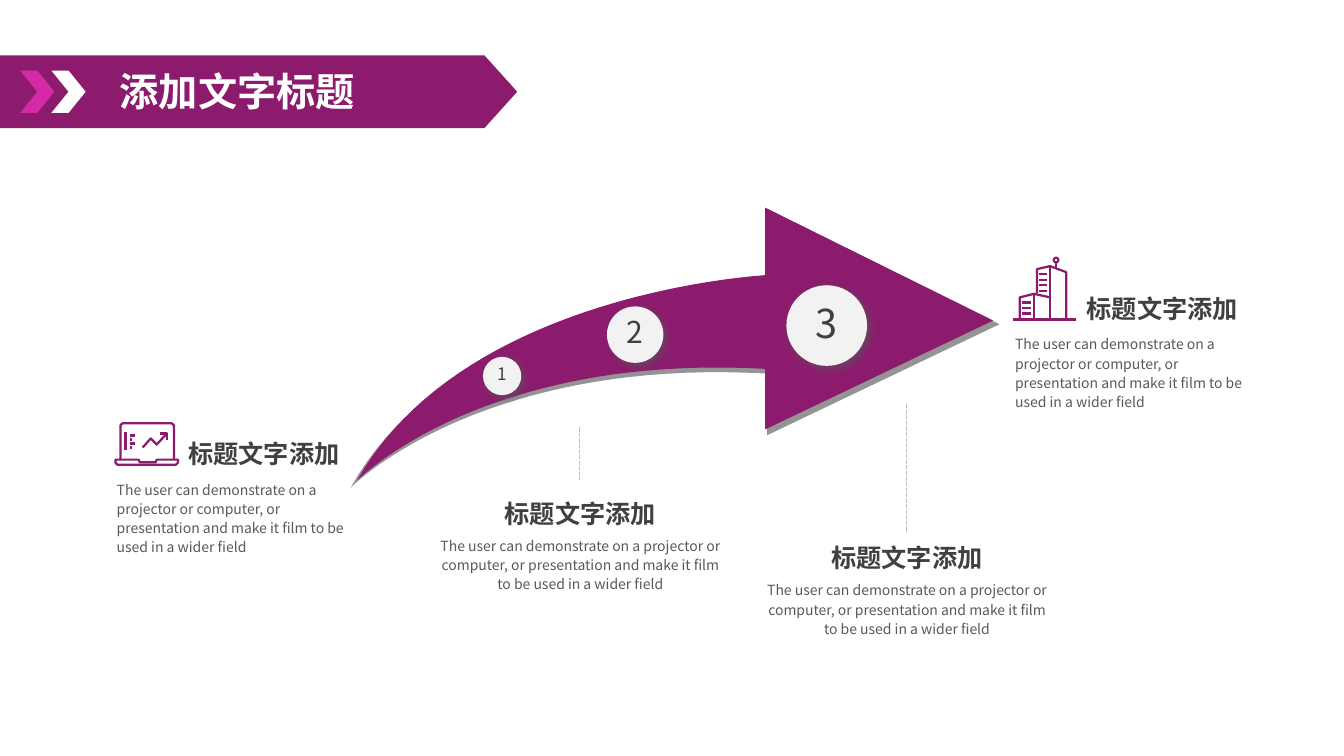
"""Builds a slide with a rising arrow, three numbered steps and four captions."""
from dataclasses import dataclass
from math import cos, pi, sin

from lxml.etree import SubElement
from pptx import Presentation
from pptx.dml.color import RGBColor
from pptx.enum.dml import MSO_LINE
from pptx.enum.shapes import MSO_CONNECTOR, MSO_SHAPE as Preset
from pptx.enum.text import MSO_ANCHOR as Anchor, MSO_AUTO_SIZE as AutoSize, PP_ALIGN as Align
from pptx.oxml.ns import qn
from pptx.util import Inches, Pt


@dataclass(frozen=True)
class Theme:
    font: str = "Noto Sans CJK SC"
    purple: str = "8C1B6E"
    pink: str = "D42AA7"
    white: str = "FFFFFF"
    disc: str = "F2F2F2"
    dark: str = "404040"
    body: str = "595959"
    rule: str = "BFBFBF"
    arrow_shadow: str = "808080"
    title_size: float = 28
    heading_size: float = 18
    body_size: float = 10
    step_sizes: tuple = (12.3, 21.5, 28.4)
    icon_line: float = 1.6
    cell: float = 0.1


HEADING = "标题文字添加"
BODY = ("The user can demonstrate on a projector or computer, "
        "or presentation and make it film to be used in a wider field")

LAPTOP = [
    [(0.6, 5.7), (0.6, 2.3), (0.8, 2.1), (5.7, 2.1), (5.9, 2.3), (5.9, 5.7)],
    [(0.1, 5.7), (2.4, 5.7), (2.5, 5.95), (4.1, 5.95), (4.2, 5.7), (6.3, 5.7),
     (6.3, 6), (6.1, 6.2), (0.3, 6.2), (0.1, 6), (0.1, 5.7)],
    [(1.1, 3), (1.1, 4.7)],
    [(2.8, 4.5), (3.6, 3.6), (4.2, 4.2), (5.2, 3.1)],
    [(4.5, 3.1), (5.2, 3.1), (5.2, 3.8)],
] + [[(1.5, 3.3 + 0.4 * i), (1.75 if i % 2 else 2, 3.3 + 0.4 * i)] for i in range(4)]

BUILDINGS = [
    [(0, 6.2), (6.3, 6.2)],
    [(0.7, 6.2), (0.7, 4), (2.1, 3.65), (3.7, 4)],
    [(2.1, 3.65), (2.1, 6.2)],
    [(2.4, 3.6), (2.4, 1.2), (3.7, 0.9), (5.3, 1.5), (5.3, 6.2)],
    [(3.7, 0.9), (3.7, 6.2)],
    [(4.3, 1.1), (4.3, 0.55)],
    [(4.3 + 0.23 * cos(i * pi / 8), 0.3 + 0.23 * sin(i * pi / 8)) for i in range(17)],
] + [[(0.9, 4.5 + 0.55 * i), (1.8, 4.5 + 0.55 * i)] for i in range(3)] \
  + [[(2.6, 1.7 + 0.55 * i), (3.4, 1.7 + 0.55 * i)] for i in range(4)]


def bezier(start, first, second, end, steps=40):
    def blend(t, axis):
        return ((1 - t) ** 3 * start[axis] + 3 * (1 - t) ** 2 * t * first[axis]
                + 3 * (1 - t) * t ** 2 * second[axis] + t ** 3 * end[axis])
    return [(blend(i / steps, 0), blend(i / steps, 1)) for i in range(steps + 1)]


class SlideBuilder:
    def __init__(self, slide, theme):
        self.slide, self.theme, self.shapes = slide, theme, slide.shapes

    def grid(self, *cells):
        return [Inches(self.theme.cell * cell) for cell in cells]

    def set_text(self, shape, text, size, color, bold=False, align=Align.LEFT,
                 spacing=None, anchor=Anchor.TOP, wrap=True):
        frame = shape.text_frame
        frame.word_wrap, frame.vertical_anchor = wrap, anchor
        paragraph = frame.paragraphs[0]
        paragraph.alignment, paragraph.line_spacing = align, spacing
        run = paragraph.add_run()
        run.text = text
        font = run.font
        font.size, font.bold, font.name = Pt(size), bold, self.theme.font
        font.color.rgb = RGBColor.from_string(color)
        SubElement(run._r.get_or_add_rPr(), qn("a:ea"), typeface=self.theme.font)

    def text_box(self, box, text, size, color, **style):
        shape = self.shapes.add_textbox(*self.grid(*box))
        shape.text_frame.auto_size = AutoSize.SHAPE_TO_FIT_TEXT
        self.set_text(shape, text, size, color, **style)

    def paint(self, shape, color):
        shape.shadow.inherit = False
        shape.fill.solid()
        shape.fill.fore_color.rgb = RGBColor.from_string(color)
        shape.line.fill.background()

    def preset(self, kind, box, color, adjustment):
        shape = self.shapes.add_shape(kind, *self.grid(*box))
        shape.adjustments[0] = adjustment
        self.paint(shape, color)
        return shape

    def cast_shadow(self, shape, color, alpha, blur, angle, scale=100):
        effects = shape.element.spPr.find(qn("a:effectLst"))
        outer = SubElement(effects, qn("a:outerShdw"), blurRad=str(Pt(blur)),
                           dist=str(Pt(3)), dir=str(angle * 60000),
                           sx=str(scale * 1000), sy=str(scale * 1000),
                           algn="ctr", rotWithShape="0")
        tint = SubElement(outer, qn("a:srgbClr"), val=color)
        SubElement(tint, qn("a:alpha"), val=str(alpha * 1000))

    def outline(self, contours, left=0, top=0, close=False):
        moved = [[self.grid(left + x, top + y) for x, y in contour] for contour in contours]
        builder = self.shapes.build_freeform(*moved[0][0], scale=1.0)
        for index, contour in enumerate(moved):
            if index:
                builder.move_to(*contour[0])
            builder.add_line_segments(contour[1:], close=close)
        return builder.convert_to_shape()

    def icon(self, strokes, left, top):
        shape = self.outline(strokes, left, top)
        shape.shadow.inherit = False
        shape.fill.background()
        shape.line.color.rgb = RGBColor.from_string(self.theme.purple)
        shape.line.width = Pt(self.theme.icon_line)

    def dashed_line(self, x, top, bottom):
        connector = self.shapes.add_connector(MSO_CONNECTOR.STRAIGHT,
                                              *self.grid(x, top, x, bottom))
        connector.line.color.rgb = RGBColor.from_string(self.theme.rule)
        connector.line.width = Pt(1)
        connector.line.dash_style = MSO_LINE.SQUARE_DOT
        SubElement(connector.element.spPr, qn("a:effectLst"))

    def arrow(self):
        upper = bezier((75.9, 27.3), (73, 27.5), (45.4, 29.8), (35.4, 47.7))
        lower = bezier((35.4, 47.7), (35.4, 47.7), (47.8, 35), (75.9, 36.6))
        points = [(98.5, 31.8), (75.9, 20.6)] + upper + lower[1:] + [(75.9, 42.6)]
        shape = self.outline([points], close=True)
        self.paint(shape, self.theme.purple)
        self.cast_shadow(shape, self.theme.arrow_shadow, alpha=84, blur=0, angle=90, scale=102)

    def step(self, number, left, top, diameter, spacing):
        disc = self.preset(Preset.ROUNDED_RECTANGLE, (left, top, diameter, diameter),
                           self.theme.disc, 0.5)
        self.cast_shadow(disc, self.theme.body, alpha=64, blur=6, angle=45)
        self.set_text(disc, str(number), self.theme.step_sizes[number - 1], self.theme.dark,
                      align=Align.CENTER, spacing=spacing, anchor=Anchor.MIDDLE, wrap=False)

    def caption(self, left, top, strokes=None):
        theme = self.theme
        self.shapes = self.slide.shapes.add_group_shape().shapes
        if strokes:
            self.icon(strokes, left + 0.75, top - 7.1)
            shift, rise, width, height, align = 7.1, 4, 25.7, 8.7, Align.LEFT
        else:
            shift, rise, width, height, align = 3.9, 3.7, 31.1, 6.8, Align.CENTER
        self.text_box((left + shift, top - rise, 23.3, 4), HEADING, theme.heading_size,
                      theme.dark, bold=True, align=align)
        self.text_box((left, top, width, height), BODY, theme.body_size,
                      theme.body, align=align, spacing=1.14)
        self.shapes = self.slide.shapes

    def banner(self, title):
        theme = self.theme
        self.preset(Preset.PENTAGON, (0, 5.5, 51.3, 7.2), theme.purple, 0.45)
        for index, color in enumerate((theme.pink, theme.white)):
            self.preset(Preset.CHEVRON, (2 + 3.1 * index, 7, 3.4, 4.2), color, 0.5)
        self.text_box((10.9, 6.2, 45.9, 5.7), title, theme.title_size, theme.white, bold=True)


def main():
    presentation = Presentation()
    presentation.slide_width, presentation.slide_height = Inches(13.33), Inches(7.5)
    slide = presentation.slides.add_slide(presentation.slide_layouts[6])
    builder = SlideBuilder(slide, Theme())
    builder.banner("添加文字标题")
    builder.dashed_line(57.5, 42.4, 47.6)
    builder.dashed_line(89.9, 40.1, 52.8)
    builder.arrow()
    builder.step(1, 47.9, 35.4, 3.8, 0.8)
    builder.step(2, 60.2, 30.4, 5.6, 0.8)
    builder.step(3, 78, 28.3, 8, 0.9)
    builder.caption(10.6, 47, LAPTOP)
    builder.caption(99.7, 32.6, BUILDINGS)
    builder.caption(42, 52.6)
    builder.caption(74.4, 57)
    presentation.save("out.pptx")


if __name__ == "__main__":
    main()
